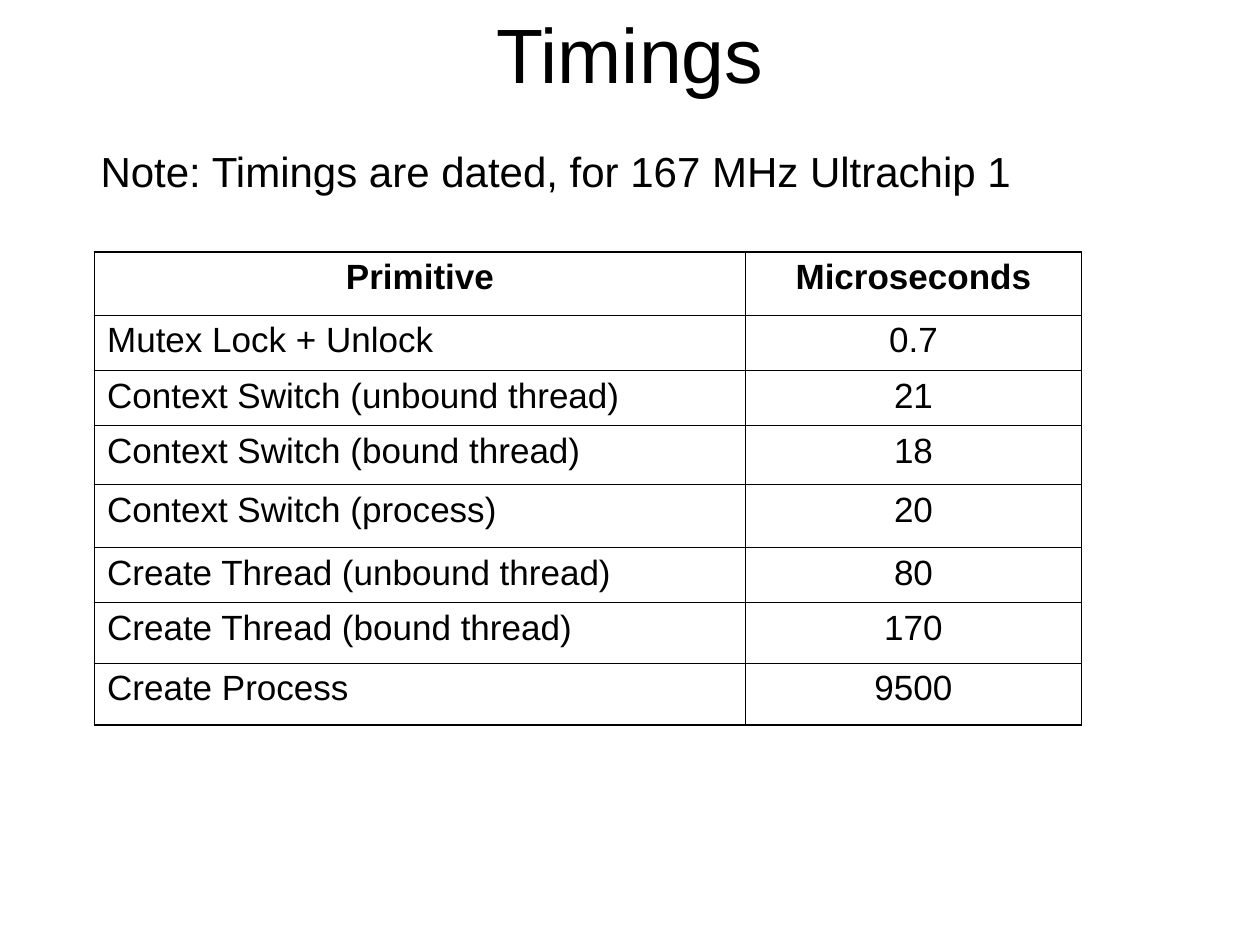
import pptx
import pptx.util
import pptx.dml.color
import pptx.enum.text
import pptx.oxml
import pptx.oxml.ns

COLORS = {"ink": "000000", "paper": "FFFFFF"}
ALIGN = pptx.enum.text.PP_ALIGN
COLS, ROWS = 120, 90


class Deck:
    """Holds the style and the current slide."""

    font = "Arial"
    outer, inner = 1.08, 0.45

    def __init__(self, prs):
        """Add a title-only slide on a white background."""
        self.cell_w = prs.slide_width / COLS
        self.cell_h = prs.slide_height / ROWS
        self.slide = prs.slides.add_slide(prs.slide_layouts[5])
        fill = self.slide.background.fill
        fill.solid()
        fill.fore_color.rgb = self.color("paper")

    def color(self, name):
        """Return a named colour."""
        return pptx.dml.color.RGBColor.from_string(COLORS[name])

    def box(self, col, row, width, height):
        """Turn grid units into lengths."""
        return (round(col * self.cell_w), round(row * self.cell_h),
                round(width * self.cell_w), round(height * self.cell_h))

    def set_text(self, tf, text, size, align=ALIGN.LEFT, bold=False):
        """Set one styled paragraph."""
        tf.text = text
        p = tf.paragraphs[0]
        p.alignment = align
        p.font.name, p.font.size = self.font, pptx.util.Pt(size)
        p.font.bold = bold
        p.font.color.rgb = self.color("ink")
        return p

    def title(self, text, box, size):
        """Place and fill the title placeholder."""
        sp = self.slide.shapes.title
        sp.left, sp.top, sp.width, sp.height = self.box(*box)
        tf = sp.text_frame
        tf.auto_size = pptx.enum.text.MSO_AUTO_SIZE.NONE
        tf.vertical_anchor = pptx.enum.text.MSO_ANCHOR.MIDDLE
        self.set_text(tf, text, size, ALIGN.CENTER)

    def text(self, text, box, size):
        """Add a one-line text box."""
        tf = self.slide.shapes.add_textbox(*self.box(*box)).text_frame
        tf.word_wrap = False
        tf.auto_size = pptx.enum.text.MSO_AUTO_SIZE.SHAPE_TO_FIT_TEXT
        self.set_text(tf, text, size)

    def borders(self, cell, edges):
        """Draw cell borders; edges maps a side to True on the table's rim."""
        tc_pr = cell._tc.get_or_add_tcPr()
        for i, (side, rim) in enumerate(edges.items()):
            width = pptx.util.Pt(self.outer if rim else self.inner)
            tc_pr.insert(i, pptx.oxml.parse_xml(
                f'<a:ln{side} {pptx.oxml.ns.nsdecls("a")} w="{int(width)}">'
                f'<a:solidFill><a:srgbClr val="{COLORS["ink"]}"/></a:solidFill>'
                f'</a:ln{side}>'))

    def table(self, data, left, top, widths, heights, size):
        """Add a ruled table with a bold header and centred last column."""
        box = self.box(left, top, sum(widths), sum(heights))
        table = self.slide.shapes.add_table(len(data), len(widths), *box).table
        table.first_row = table.horz_banding = False
        for column, width in zip(table.columns, widths):
            column.width = round(width * self.cell_w)
        last_row, last_col = len(data) - 1, len(widths) - 1
        for i, (values, height) in enumerate(zip(data, heights)):
            table.rows[i].height = round(height * self.cell_h)
            for j, value in enumerate(values):
                cell = table.cell(i, j)
                cell.fill.background()
                centred = i == 0 or j == last_col
                p = self.set_text(cell.text_frame, value, size,
                                  ALIGN.CENTER if centred else ALIGN.LEFT,
                                  i == 0)
                p.space_before = pptx.util.Pt(5)
                self.borders(cell, {"L": j == 0, "R": j == last_col,
                                    "T": i == 0, "B": i == last_row})


TIMINGS = [
    ("Primitive", "Microseconds"),
    ("Mutex Lock + Unlock", "0.7"),
    ("Context Switch (unbound thread)", "21"),
    ("Context Switch (bound thread)", "18"),
    ("Context Switch (process)", "20"),
    ("Create Thread (unbound thread)", "80"),
    ("Create Thread (bound thread)", "170"),
    ("Create Process", "9500"),
]

prs = pptx.Presentation()
prs.slide_width, prs.slide_height = pptx.util.Inches(10), pptx.util.Inches(7.5)
deck = Deck(prs)
deck.title("Timings", (9, 2, 102, 6), 44)
deck.table(TIMINGS, 9, 24, (62, 32),
           (6, 5.25, 5.25, 5.6, 6, 5.25, 5.8, 5.9), 20)
deck.text("Note: Timings are dated, for 167 MHz Ultrachip 1",
          (8.4, 13.3, 91.7, 6), 24)
prs.save("out.pptx")
